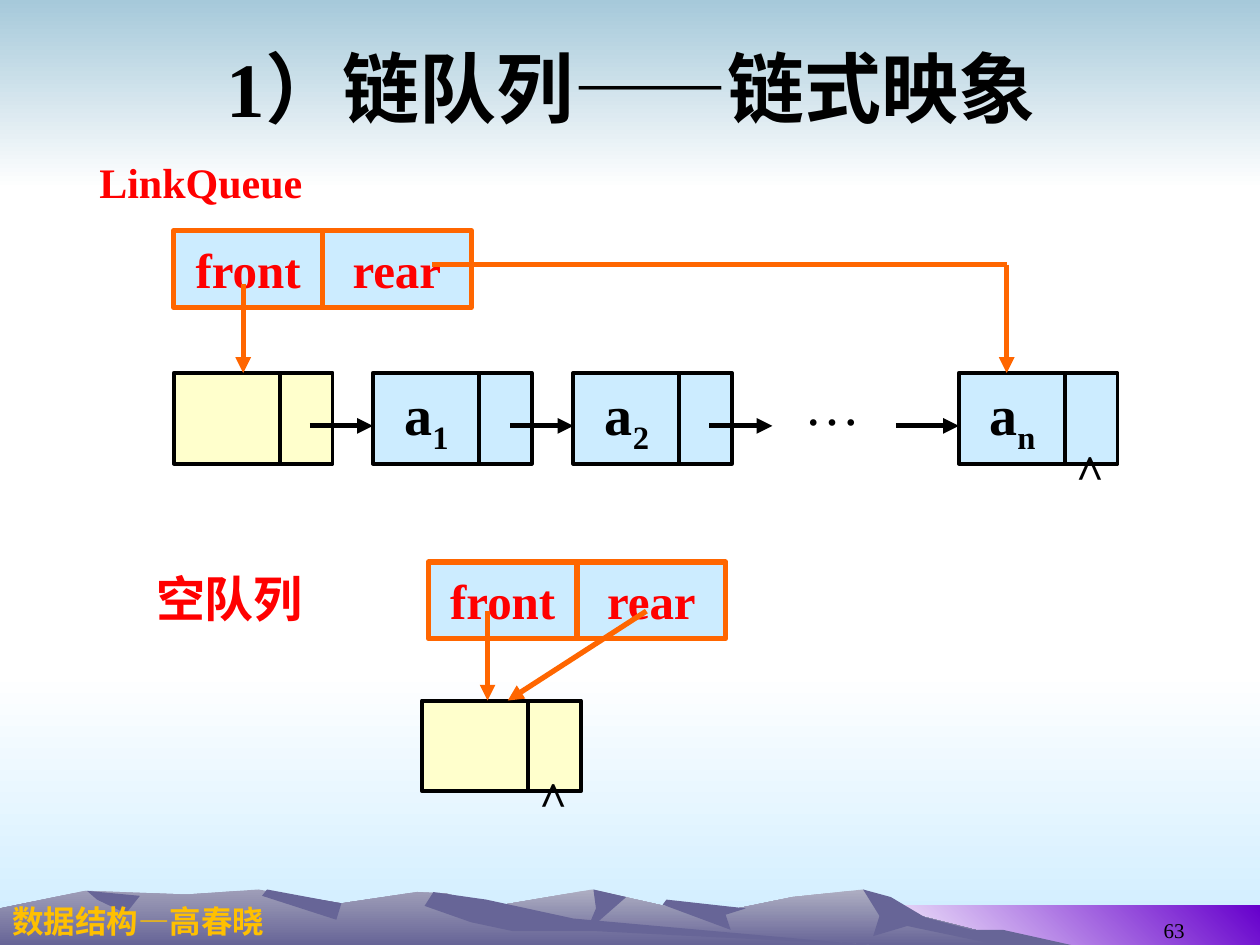
from lxml.etree import SubElement
from pptx import Presentation
from pptx.dml.color import RGBColor
from pptx.enum.shapes import MSO_CONNECTOR, MSO_SHAPE
from pptx.enum.text import MSO_ANCHOR as ANCHOR, PP_ALIGN as ALIGN
from pptx.oxml.ns import qn
from pptx.util import Pt

PX = 9144  # 100 px to the inch
BLACK = RGBColor(0x00, 0x00, 0x00)
WHITE = RGBColor(0xFF, 0xFF, 0xFF)
RED = RGBColor(0xFF, 0x00, 0x00)
ORANGE = RGBColor(0xFF, 0x66, 0x00)
GOLD = RGBColor(0xFF, 0xC0, 0x00)
PALE_BLUE = RGBColor(0xCC, 0xEC, 0xFF)
PALE_YELLOW = RGBColor(0xFF, 0xFF, 0xCC)
SKY = RGBColor(0xA6, 0xC9, 0xDA)
PURPLE = RGBColor(0x66, 0x00, 0xCC)
ROCK = RGBColor(0x67, 0x65, 0x97)
FAR_ROCK = RGBColor(0xAE, 0xAE, 0xC2)
NEAR_ROCK = RGBColor(0x9F, 0x9E, 0xB8)
SERIF, SANS = "Times New Roman", "Arial"

prs = Presentation()
prs.slide_width, prs.slide_height = 1000 * PX, 750 * PX
slide = prs.slides.add_slide(prs.slide_layouts[5])
shapes = slide.shapes


def write(shape, text, size, color=BLACK, face=SERIF, bold=True, align=ALIGN.CENTER,
          anchor=ANCHOR.TOP, wrap=True, subscript=""):
    frame = shape.text_frame
    frame.word_wrap, frame.vertical_anchor = wrap, anchor
    line = frame.paragraphs[0]
    line.alignment = align
    for part, lowered in ((text, False), (subscript, True)):
        if not part:
            continue
        run = line.add_run()
        run.text = part
        formats = {"size": Pt(size), "name": face, "bold": bold}
        for key, value in formats.items():
            setattr(run.font, key, value)
        run.font.color.rgb = color
        if lowered:
            run.font._element.set("baseline", "-25000")


def add_line(x1, y1, x2, y2, color=BLACK, width=3, arrow=True):
    line = shapes.add_connector(MSO_CONNECTOR.STRAIGHT, x1 * PX, y1 * PX, x2 * PX, y2 * PX)
    line.line.color.rgb = color
    line.line.width = Pt(width)
    properties = line.element.spPr
    if arrow:
        SubElement(properties.find(qn("a:ln")), qn("a:tailEnd"), type="triangle")
    SubElement(properties, qn("a:effectLst"))


# Background bands: left, top, width, height, gradient colours, angle
bands = [
    (0, 533, 1000, 217, WHITE, PALE_BLUE, 270),
    (0, 0, 1000, 150, SKY, WHITE, 270),
    (683, 719, 317, 31, WHITE, PURPLE, 45),
]
for left, top, width, height, start, end, angle in bands:
    band = shapes.add_shape(MSO_SHAPE.RECTANGLE, left * PX, top * PX, width * PX, height * PX)
    band.shadow.inherit = False
    band.line.fill.background()
    band.fill.gradient()
    band.fill.gradient_angle = angle
    for stop, color in zip(band.fill.gradient_stops, (start, end)):
        stop.color.rgb = color

# Mountains and their shaded faces: top colour and outline, from back to front
mountains = [
    (FAR_ROCK, [(258, 750), (394, 719), (470, 706), (536, 721), (566, 725), (629, 712),
                (685, 706), (723, 725), (821, 750)]),
    (ROCK, [(685, 706), (707, 712), (734, 728), (771, 738), (796, 738), (850, 750),
            (792, 750), (720, 735), (693, 743), (698, 727)]),
    (ROCK, [(471, 706), (497, 712), (465, 740), (473, 721)]),
    (ROCK, [(529, 714), (592, 721), (576, 726), (580, 738), (526, 718)]),
    (NEAR_ROCK, [(0, 750), (0, 721), (68, 707), (148, 710), (205, 706), (271, 717),
                 (331, 708), (354, 709), (432, 732), (690, 750)]),
    (ROCK, [(212, 706), (271, 717), (267, 730), (208, 711)]),
    (ROCK, [(344, 708), (386, 714), (455, 729), (690, 750), (472, 739), (407, 739),
            (374, 732), (337, 719)]),
    (ROCK, [(69, 707), (111, 711), (100, 725), (77, 714)]),
]
for top_color, outline in mountains:
    builder = shapes.build_freeform(*outline[0], scale=PX)
    builder.add_line_segments(outline[1:])
    mountain = builder.convert_to_shape()
    mountain.shadow.inherit = False
    mountain.line.fill.background()
    if top_color == ROCK:
        mountain.fill.solid()
        mountain.fill.fore_color.rgb = ROCK
    else:
        mountain.fill.gradient()
        mountain.fill.gradient_angle = 270
        for stop, color in zip(mountain.fill.gradient_stops, (top_color, ROCK)):
            stop.color.rgb = color

# Title, brought in front of the background
title = shapes.title
shapes.element.append(title.element)
title.left, title.top, title.width, title.height = 51 * PX, 13 * PX, 900 * PX, 112 * PX
write(title, "1）链队列——链式映象", 44, anchor=ANCHOR.MIDDLE)

# Labels and footer
labels = [
    ("LinkQueue", 69, 119, 183, 50, dict(size=24, color=RED, wrap=False)),
    ("空队列", 114, 446, 137, 57, dict(size=28, color=RED, face=SANS, wrap=False)),
    ("…", 628, 288, 65, 63, dict(size=32, bold=False, align=ALIGN.CENTER, wrap=False)),
    ("数据结构—高春晓", 0, 711, 305, 40, dict(size=18, color=GOLD, face=SANS)),
    ("63", 717, 703, 233, 50,
     dict(size=12, bold=False, align=ALIGN.RIGHT, anchor=ANCHOR.BOTTOM)),
]
for text, left, top, width, height, style in labels:
    label = shapes.add_textbox(left * PX, top * PX, width * PX, height * PX)
    write(label, text, **{"align": ALIGN.LEFT, **style})

# Queue headers: a front and a rear cell side by side
CELL_W, CELL_H = 118, 61
for left, top in ((138, 183), (340, 446)):
    for column, pointer in enumerate(("front", "rear")):
        cell = shapes.add_shape(MSO_SHAPE.RECTANGLE, (left + column * CELL_W) * PX, top * PX,
                                CELL_W * PX, CELL_H * PX)
        cell.shadow.inherit = False
        cell.fill.solid()
        cell.fill.fore_color.rgb = PALE_BLUE
        cell.line.color.rgb = ORANGE
        cell.line.width = Pt(3)
        write(cell, pointer, 28, RED, anchor=ANCHOR.MIDDLE)

# List nodes: left, top, fill, subscript of a, whether the link is empty
NODE_W, NODE_H, DATA_W = 126, 72, 84
nodes = [
    (138, 296, PALE_YELLOW, "", False),
    (296, 296, PALE_BLUE, "1", False),
    (455, 296, PALE_BLUE, "2", False),
    (761, 296, PALE_BLUE, "n", True),
    (335, 556, PALE_YELLOW, "", True),
]
for left, top, color, index, is_last in nodes:
    node = shapes.add_shape(MSO_SHAPE.RECTANGLE, left * PX, top * PX, NODE_W * PX, NODE_H * PX)
    node.shadow.inherit = False
    node.fill.solid()
    node.fill.fore_color.rgb = color
    node.line.color.rgb = BLACK
    node.line.width = Pt(2.25)
    add_line(left + DATA_W, top, left + DATA_W, top + NODE_H, width=2.25, arrow=False)
    if index:
        data = shapes.add_textbox((left + 9) * PX, top * PX, 67 * PX, 63 * PX)
        write(data, "a", 32, subscript=index)
    if is_last:
        link = shapes.add_textbox((left + 83) * PX, (top + 4) * PX, 42 * PX, 63 * PX)
        write(link, "", 48, subscript="^")

# Links between nodes, then the front and rear pointers
for start in (246, 405, 563, 711):
    add_line(start, 338, start + 50, 338)
add_line(193, 225, 193, 296, ORANGE)
add_line(343, 210, 799, 210, ORANGE, arrow=False)
add_line(799, 210, 799, 296, ORANGE)
add_line(387, 485, 387, 556, ORANGE)
add_line(513, 485, 403, 556, ORANGE)

prs.save("out.pptx")
